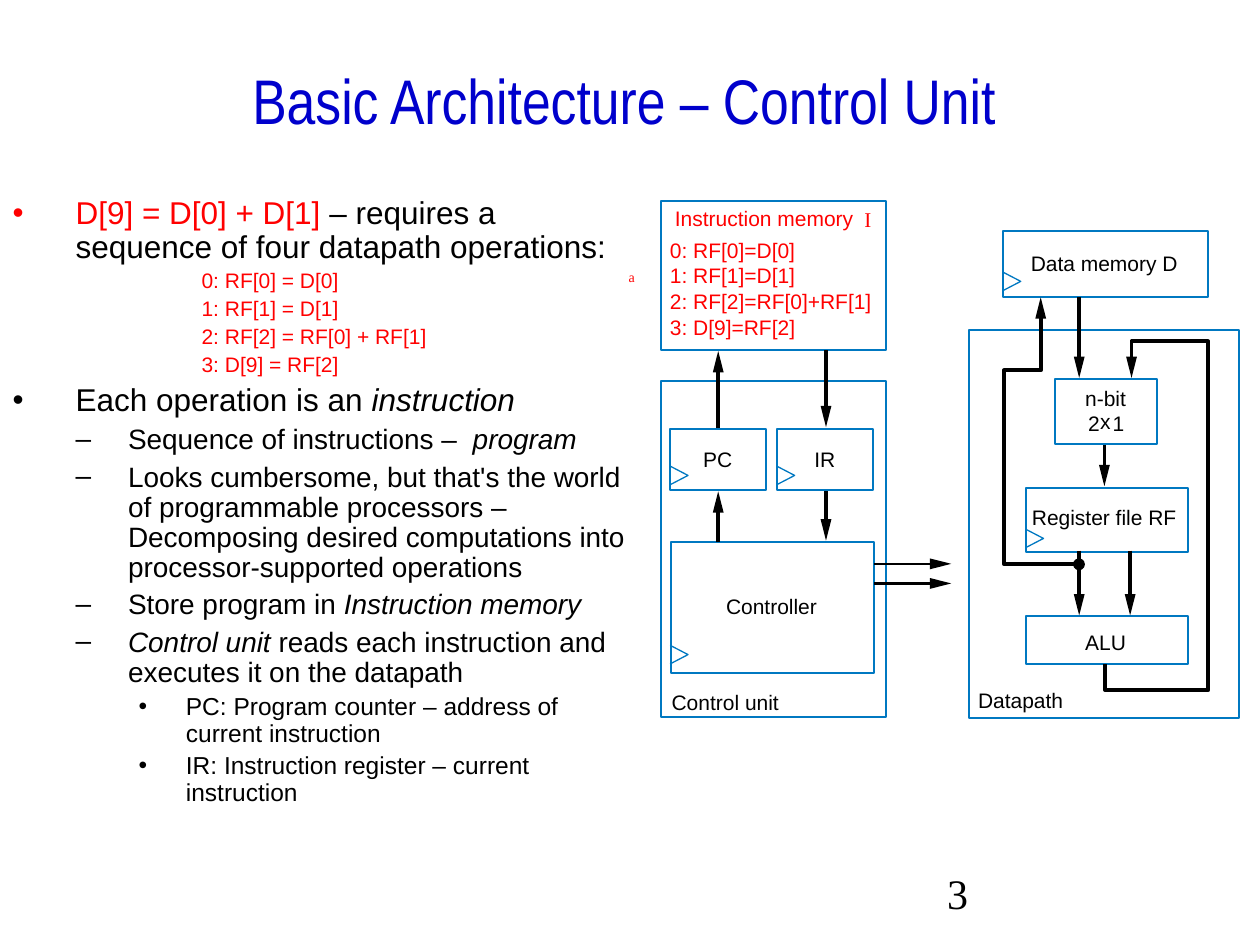
from dataclasses import dataclass

from lxml import etree
from pptx import Presentation
from pptx.dml.color import RGBColor
from pptx.enum.shapes import MSO_CONNECTOR, MSO_SHAPE
from pptx.enum.text import MSO_ANCHOR, MSO_AUTO_SIZE, PP_ALIGN
from pptx.oxml.ns import qn
from pptx.util import Pt

RECT, OVAL = MSO_SHAPE.RECTANGLE, MSO_SHAPE.OVAL
STRAIGHT = MSO_CONNECTOR.STRAIGHT
MIDDLE, CENTER = MSO_ANCHOR.MIDDLE, PP_ALIGN.CENTER
FIT, FIXED = MSO_AUTO_SIZE.SHAPE_TO_FIT_TEXT, MSO_AUTO_SIZE.NONE


@dataclass(frozen=True)
class Theme:
    ink: str = "000000"
    red: str = "FF0000"
    blue: str = "0078C1"
    head: str = "0000CC"
    sans: str = "Arial"
    thin: str = "Arial Narrow"
    serif: str = "Times New Roman"
    title: int = 36
    page: int = 24
    small: int = 12
    tiny: int = 8
    slack: int = 2
    levels: tuple = (
        (18, 4.5, 36, -36, "•"),
        (16, 4, 66, -30, "–"),
        (14, 3.5, 99, -27, "•"),
        (12, 3, 132, -24, None),
    )


def put(item, **values):
    for name, value in values.items():
        setattr(item, name, value)


class Sketch:
    """Draws styled elements on one slide, with lengths in points."""

    def __init__(self, slide, theme):
        self.slide, self.theme = slide, theme
        self.shapes = slide.shapes

    def place(self, item, x, y, w, h):
        put(item, left=Pt(x), top=Pt(y), width=Pt(w), height=Pt(h))

    def run(self, para, text, size, face=None, color=None, italic=None):
        run = para.add_run()
        run.text = text
        put(run.font, name=face or self.theme.sans, size=Pt(size), italic=italic)
        run.font.color.rgb = RGBColor.from_string(color or self.theme.ink)

    def title(self, text, *area):
        item = self.shapes.title
        self.place(item, *area)
        frame = item.text_frame
        put(frame, vertical_anchor=MIDDLE, auto_size=FIXED)
        para = frame.paragraphs[0]
        para.alignment = CENTER
        self.run(para, text, self.theme.title, self.theme.thin, self.theme.head)

    def body(self, rows, *area):
        item = self.slide.placeholders[1]
        self.place(item, *area)
        frame = item.text_frame
        frame.auto_size = FIXED
        for index, (level, *runs) in enumerate(rows):
            para = frame.add_paragraph() if index else frame.paragraphs[0]
            size, gap, left, hang, mark = self.theme.levels[level]
            put(para, level=level, line_spacing=0.9, space_before=Pt(gap))
            for text, style in runs:
                self.run(para, text, size, **style)
            self.bullet(para, left, hang, mark, runs[0][1].get("color", self.theme.ink))

    def bullet(self, para, left, hang, mark, color):
        props = para._p.get_or_add_pPr()
        props.set("marL", str(Pt(left)))
        props.set("indent", str(Pt(hang)))
        if mark:
            tint = etree.SubElement(props, qn("a:buClr"))
            etree.SubElement(tint, qn("a:srgbClr"), val=color)
            etree.SubElement(props, qn("a:buChar"), char=mark)
        else:
            etree.SubElement(props, qn("a:buNone"))

    def label(self, text, x, y, w, h=14.4, size=None, face=None, color=None, pad=(0, 0), fit=FIT):
        area = map(Pt, (x, y, w + self.theme.slack, h))
        frame = self.shapes.add_textbox(*area).text_frame
        side, edge = map(Pt, pad)
        put(frame, margin_left=side, margin_right=side, margin_top=edge,
            margin_bottom=edge, word_wrap=fit is FIXED, auto_size=fit)
        self.run(frame.paragraphs[0], text, size or self.theme.small, face, color)

    def paint(self, item, fill=None, line=None, width=0.75):
        item.shadow.inherit = False
        for part, color in ((item.fill, fill), (item.line.fill, line)):
            if color:
                part.solid()
                part.fore_color.rgb = RGBColor.from_string(color)
            else:
                part.background()
        if line:
            item.line.width = Pt(width)

    def box(self, *area):
        item = self.shapes.add_shape(RECT, *map(Pt, area))
        self.paint(item, line=self.theme.blue, width=1.13)

    def dot(self, x, y, size):
        item = self.shapes.add_shape(OVAL, Pt(x), Pt(y), Pt(size), Pt(size))
        self.paint(item, self.theme.ink, self.theme.ink)

    def trace(self, points, close=False, **style):
        first, *rest = [(Pt(x), Pt(y)) for x, y in points]
        pen = self.shapes.build_freeform(*first, scale=1.0)
        pen.add_line_segments(rest, close=close)
        self.paint(pen.convert_to_shape(), **style)

    def clock(self, x, y):
        self.trace([(x, y + 10.6), (x + 10.2, y + 5.3), (x, y)], line=self.theme.blue)

    def head(self, x, y, dx, dy):
        bx, by = x - 12.2 * dx, y - 12.2 * dy
        sides = [(bx + 3.1 * dy, by + 3.1 * dx), (bx - 3.1 * dy, by - 3.1 * dx)]
        self.trace([(x, y), *sides], True, fill=self.theme.ink)

    def arrow(self, x, y, tx, ty, width=2.25):
        span = abs(tx - x) + abs(ty - y)
        dx, dy = (tx - x) / span, (ty - y) / span
        ends = map(Pt, (x, y, tx - 9.5 * dx, ty - 9.5 * dy))
        item = self.shapes.add_connector(STRAIGHT, *ends)
        item.line.color.rgb = RGBColor.from_string(self.theme.ink)
        item.line.width = Pt(width)
        etree.SubElement(item._element.spPr, qn("a:effectLst"))
        self.head(tx, ty, dx, dy)


def main():
    deck = Presentation()
    put(deck, slide_width=Pt(720), slide_height=Pt(540))
    theme = Theme()
    art = Sketch(deck.slides.add_slide(deck.slide_layouts[1]), theme)
    red, slant, plain = {"color": theme.red}, {"italic": True}, {}

    art.title("Basic Architecture – Control Unit", 17.7, 23.8, 678, 66.2)
    steps = ("0: RF[0] = D[0]", "1: RF[1] = D[1]",
             "2: RF[2] = RF[0] + RF[1]", "3: D[9] = RF[2]")
    art.body([
        (0, ("D[9] = D[0] + D[1]", red),
         (" – requires a sequence of four datapath operations:", plain)),
        *((3, (step, red)) for step in steps),
        (0, ("Each operation is an ", plain), ("instruction", slant)),
        (1, ("Sequence of instructions –  ", plain), ("program", slant)),
        (1, ("Looks cumbersome, but that's the world of programmable processors – "
             "Decomposing desired computations into processor-supported operations", plain)),
        (1, ("Store program in ", plain), ("Instruction memory", slant)),
        (1, ("Control unit", slant),
         (" reads each instruction and executes it on the datapath", plain)),
        (2, ("PC: Program counter – address of current instruction", plain)),
        (2, ("IR: Instruction register – current instruction", plain)),
    ], 0, 109, 370.8, 355.7)

    for area in (
        (553.6, 188.6, 154.6, 221.8), (573.1, 131.8, 117.4, 38.2),
        (602.9, 216.7, 58.3, 37.2), (586.1, 278.6, 92.9, 36.7),
        (586.1, 352.1, 92.9, 27.4), (377.7, 217.7, 128.7, 192),
        (377.7, 114.9, 128.7, 85.1), (383, 245.1, 55, 35),
        (443.9, 245.1, 55, 35), (383.5, 309.6, 116, 74.9),
    ):
        art.box(*area)
    for spot in ((573.1, 155.5), (586.1, 302.4), (383, 368.8), (383, 266.4), (443.9, 266.4)):
        art.clock(*spot)

    for ends in (
        (616.7, 169.9, 616.7, 216), (631.1, 254.2, 631.1, 277.9, 1.5),
        (616.7, 314.6, 616.7, 351.7), (645.8, 314.6, 645.8, 351.7),
        (410.4, 244.8, 410.4, 200.6), (410.4, 309.6, 410.4, 280.8),
        (472, 280.8, 472, 308.9), (472, 200.2, 472, 244.1),
        (499.7, 322.2, 543.6, 322.2, 1.5), (499.7, 333.4, 543.6, 333.4, 1.5),
    ):
        art.arrow(*ends)
    loop = [(646.6, 208), (646.6, 195.1), (690.5, 195.1),
            (690.5, 394.3), (631.6, 394.3), (631.6, 379.4)]
    store = [(594.7, 175), (594.7, 211.7), (573.8, 211.7), (573.8, 322.4), (617, 322.4)]
    for points in (loop, store):
        art.trace(points, line=theme.ink, width=2.25)
    art.head(646.6, 216, 0, 1)
    art.head(594.7, 169.9, 0, -1)
    art.dot(613.6, 319.5, 6)

    for label in (
        ("Register file RF", 589.7, 288.5, 82.8), ("Data memory D", 589, 143.3, 84.2),
        ("ALU", 620.1, 360, 23), ("n-bit", 620.1, 220.3, 23),
        ("2", 621.8, 234.7, 6.5), ("x", 628.6, 233.3, 5.8), ("1", 635.8, 234.7, 6.5),
        ("Datapath", 558.9, 393.1, 49), ("Control unit", 383.8, 393.8, 61.2),
        ("Controller", 414.9, 339.1, 51.8), ("PC", 401.8, 255.4, 16.6),
        ("IR", 465.3, 255.4, 12.2),
    ):
        art.label(*label)
    art.label("Instruction memory", 385.7, 117.4, 102.2, **red)
    art.label("I", 493.9, 118.1, 4.3, face=theme.serif, **red)
    code = (("0: RF[0]=D[0]", 72), ("1: RF[1]=D[1]", 72),
            ("2: RF[2]=RF[0]+RF[1]", 115.2), ("3: D[9]=RF[2]", 72))
    for row, (text, width) in enumerate(code):
        art.label(text, 382.8, 135.6 + 14.7 * row, width, **red)
    art.label("a", 352.1, 149.8, 18, 17.3, theme.tiny, theme.serif, theme.red, (7.2, 3.6))
    art.label("3", 534.2, 492, 147.8, 36, theme.page, theme.serif, pad=(7.2, 3.6), fit=FIXED)
    deck.save("out.pptx")


if __name__ == "__main__":
    main()
